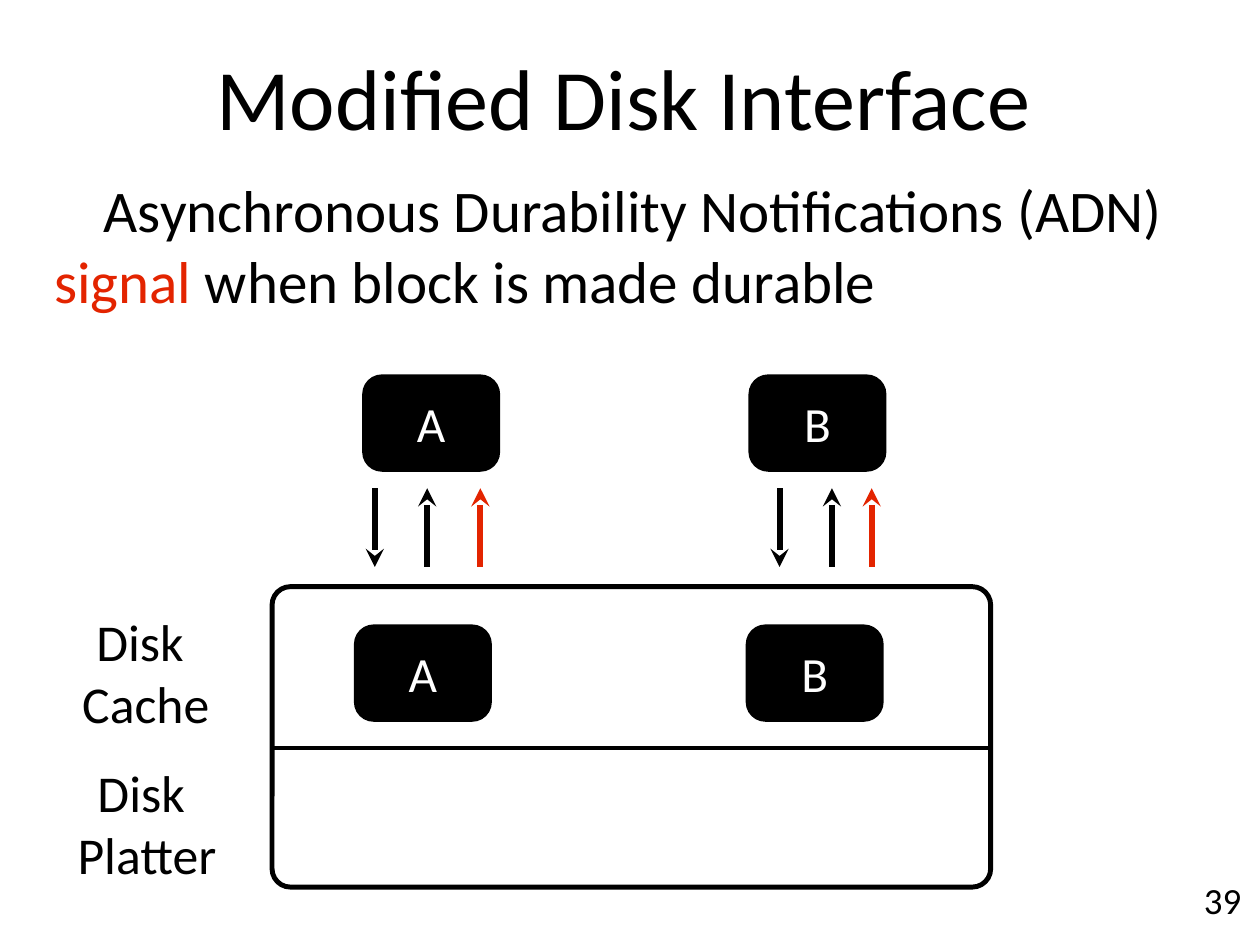
from lxml.etree import SubElement
from pptx import Presentation
from pptx.dml.color import RGBColor
from pptx.enum.shapes import MSO_CONNECTOR as CONN, MSO_SHAPE as SHAPE
from pptx.enum.text import MSO_ANCHOR as ANCHOR, MSO_AUTO_SIZE as FIT, PP_ALIGN as ALIGN
from pptx.oxml.ns import qn
from pptx.util import Inches, Pt

BLACK = RGBColor(0x00, 0x00, 0x00)
WHITE = RGBColor(0xFF, 0xFF, 0xFF)
RED = RGBColor(0xE3, 0x24, 0x00)

# Grid of 32 columns by 24 rows
WIDTH, HEIGHT = Inches(14.22), Inches(10.67)
COLS, ROWS = 32, 24
BLOCK_W, BLOCK_H = 3.44, 2.41
ARROW_TOP, ARROW_BOTTOM = 12.4, 14.4


def col(n):
    return round(WIDTH * n / COLS)


def row(n):
    return round(HEIGHT * n / ROWS)


def place(x, y, w, h):
    return col(x), row(y), col(w), row(h)


def set_frame(tf, inset=0.06, anchor=ANCHOR.MIDDLE, wrap=True):
    tf.margin_left = tf.margin_right = Inches(inset)
    tf.margin_top = tf.margin_bottom = Inches(inset)
    tf.vertical_anchor = anchor
    tf.word_wrap = wrap
    tf.auto_size = FIT.NONE if wrap else FIT.SHAPE_TO_FIT_TEXT


def add_run(p, text, size, color=BLACK):
    r = p.add_run()
    r.text = text
    r.font.name = "Calibri"
    r.font.size = Pt(size)
    r.font.color.rgb = color


def add_label(slide, box, lines, size, **frame):
    tf = slide.shapes.add_textbox(*place(*box)).text_frame
    set_frame(tf, **frame)
    for i, line in enumerate(lines):
        p = tf.add_paragraph() if i else tf.paragraphs[0]
        p.alignment = ALIGN.CENTER
        add_run(p, line, size)


def add_statement(slide, box, runs, size):
    tf = slide.shapes.add_textbox(*place(*box)).text_frame
    set_frame(tf, inset=0.03)
    p = tf.paragraphs[0]
    p.space_before = Pt(24)
    pPr = p._p.get_or_add_pPr()
    pPr.set("marL", "0")
    pPr.set("indent", str(Inches(0.56)))
    for text, color in runs:
        add_run(p, text, size, color)


def add_round_rect(slide, box, radius, weight):
    s = slide.shapes.add_shape(SHAPE.ROUNDED_RECTANGLE, *place(*box))
    s.shadow.inherit = False
    s.adjustments[0] = radius
    s.fill.background()
    s.line.color.rgb = BLACK
    s.line.width = Pt(weight)
    return s


def add_block(slide, x, y, name):
    s = add_round_rect(slide, (x, y, BLOCK_W, BLOCK_H), 0.195, 2)
    s.fill.solid()
    s.fill.fore_color.rgb = BLACK
    set_frame(s.text_frame)
    p = s.text_frame.paragraphs[0]
    p.alignment = ALIGN.CENTER
    add_run(p, name, 40, WHITE)


def add_line(slide, x1, y1, x2, y2, weight, color=BLACK, arrow=False):
    c = slide.shapes.add_connector(CONN.STRAIGHT, col(x1), row(y1), col(x2), row(y2))
    c.line.color.rgb = color
    c.line.width = Pt(weight)
    if arrow:
        SubElement(c.line._get_or_add_ln(), qn("a:tailEnd"), type="stealth")
    SubElement(c._element.spPr, qn("a:effectLst"))


def add_signals(slide, write_x, ack_x, durable_x):
    top, bottom = ARROW_TOP, ARROW_BOTTOM
    add_line(slide, write_x, top, write_x, bottom, 5, arrow=True)
    add_line(slide, ack_x, bottom, ack_x, top, 5, arrow=True)
    add_line(slide, durable_x, bottom, durable_x, top, 5, RED, arrow=True)


def main():
    prs = Presentation()
    prs.slide_width, prs.slide_height = WIDTH, HEIGHT
    slide = prs.slides.add_slide(prs.slide_layouts[6])

    # Title, statement and slide number
    add_label(slide, (1.13, 0.59, 29.41, 3.71), ["Modified Disk Interface"], 70)
    add_statement(slide, (1.31, 3.92, 29.41, 4.57), [
        ("Asynchronous Durability Notifications (ADN) ", BLACK),
        ("signal", RED),
        (" when block is made durable", BLACK),
    ], 48)
    add_label(slide, (30.44, 22.16, 1.22, 1.35), ["39"], 30,
              anchor=ANCHOR.TOP, wrap=False)

    # Disk, split into cache and platter
    disk_x, disk_w, divider_y = 6.91, 18.25, 18.99
    add_round_rect(slide, (disk_x, 14.9, disk_w, 7.63), 0.061, 4)
    add_line(slide, disk_x, divider_y, disk_x + disk_w, divider_y, 3)
    add_label(slide, (1.55, 15.41, 4.01, 3.31), ["Disk", " Cache"], 42, wrap=False)
    add_label(slide, (1.49, 19.24, 4.19, 3.31), ["Disk", " Platter"], 42, wrap=False)

    # Blocks sent to the disk, their cached copies and the signals between
    for name, sent_x, cached_x, signals in [
        ("A", 9.23, 9.02, (9.52, 10.85, 12.2)),
        ("B", 19.04, 18.97, (19.8, 21.13, 22.14)),
    ]:
        add_block(slide, sent_x, 9.54, name)
        add_block(slide, cached_x, 15.89, name)
        add_signals(slide, *signals)

    prs.save("out.pptx")


if __name__ == "__main__":
    main()
